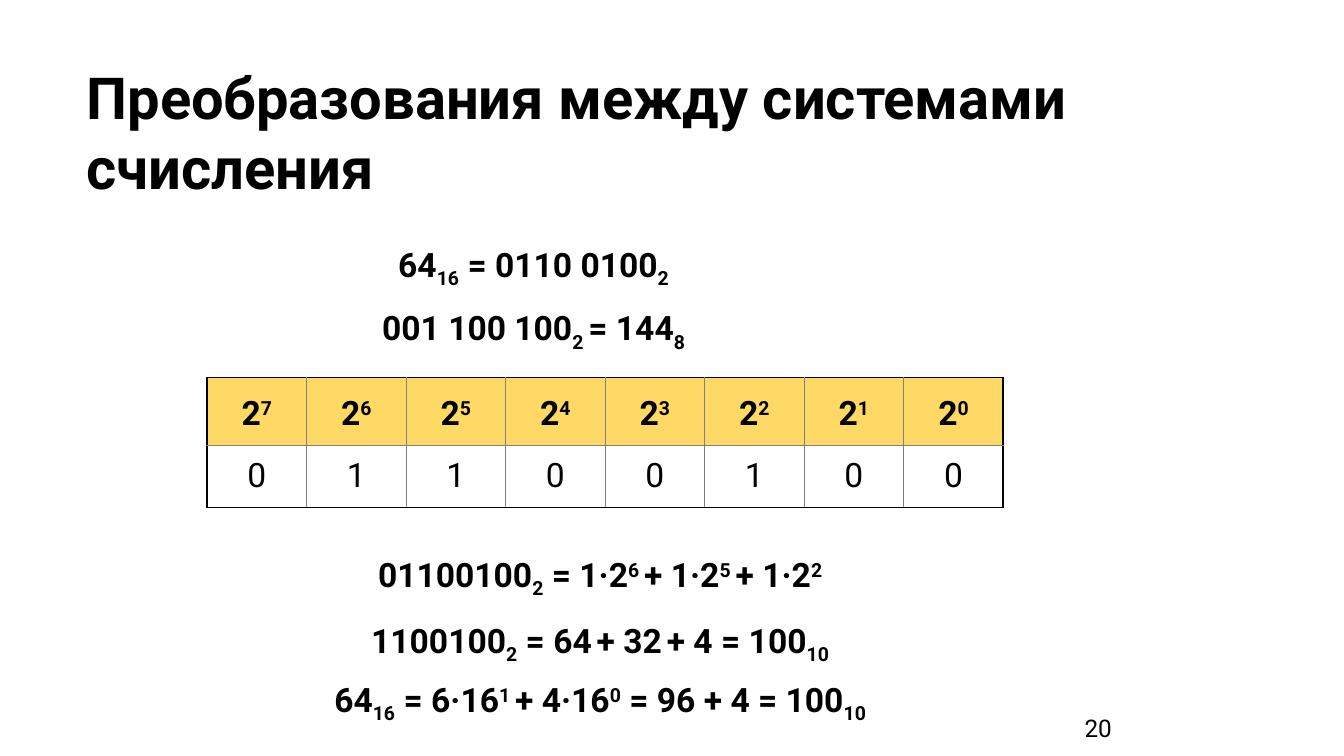
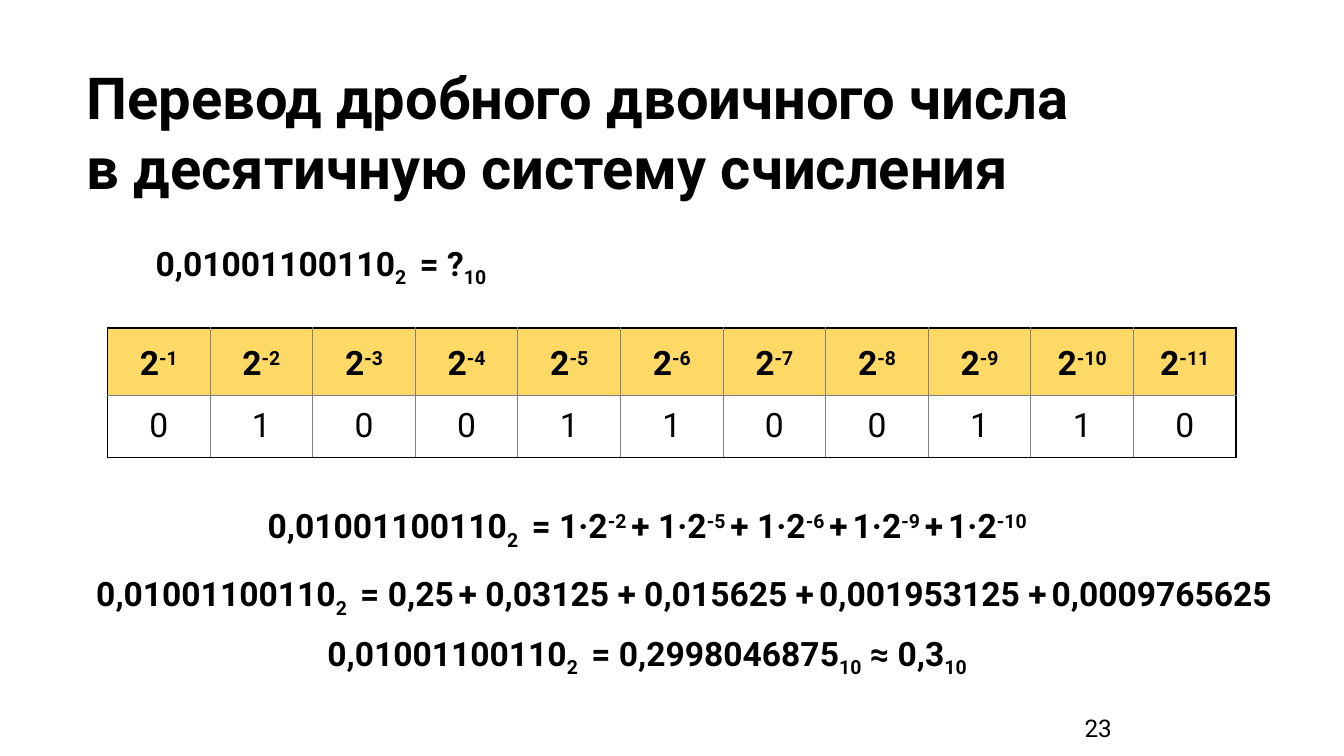
from dataclasses import dataclass
from pptx import Presentation
from pptx.dml.color import RGBColor as RGB
from pptx.enum.text import MSO_ANCHOR as ANCHOR, MSO_AUTO_SIZE as AUTO, PP_ALIGN as ALIGN
from pptx.oxml import parse_xml
from pptx.oxml.ns import nsdecls
from pptx.util import Pt

# Content: {_x} is lowered text, {^x} is raised text; boxes are in px
SLIDES = [
    {
        "title": "Преобразования между системами\vсчисления",
        "page": "20",
        "table": ((308, 562, 1185), range(7, -1, -1), "01100100"),
        "lines": [
            ((294, 343, 1000), "center", "64{_16} = 0110 0100{_2}"),
            ((294, 437, 1000), "center", "001 100 100{_2 }= 144{_8}"),
            ((294, 804, 1198), "center",
             "01100100{_2} = 1·2{^6 }+ 1·2{^5 }+ 1·2{^2}"),
            ((294, 902, 1198), "center",
             "1100100{_2} = 64{^ }+ 32{^ }+ 4 = 100{_10}"),
            ((294, 990, 1198), "center",
             "64{_16} = 6·16{^1 }+ 4·16{^0} = 96 + 4 = 100{_10}"),
        ],
    },
    {
        "title": "Перевод дробного двоичного числа \vв десятичную систему счисления",
        "page": "23",
        "table": ((160, 488, 1680), range(-1, -12, -1), "01001100110"),
        "lines": [
            ((212, 341, 1776), "left", "0,01001100110{_2 } = ?{_10}"),
            ((298, 732, 1330), "center",
             "0,01001100110{_2 } = 1·2{^-2 }+ 1·2{^-5 }+ 1·2{^-6 }+{^ }1·2{^-9 }+{^ }1·2{^-10}"),
            ((104, 833, 1828), "center",
             "0,01001100110{_2 } = 0,25{^ }+ 0,03125 + 0,015625 +{^ }0,001953125 +{^ }0,0009765625"),
            ((426, 922, 1074), "center",
             "0,01001100110{_2 } = 0,2998046875{_10} ≈ 0,3{_10}"),
        ],
    },
]


@dataclass(frozen=True)
class Theme:
    font: str = "Roboto"
    ink: str = "000000"
    rule: str = "808080"
    head: str = "FFD966"
    cell: str = "FFFFFF"
    title: int = 31
    text: int = 18
    page: int = 13


# Sizes: 200 px to the inch
THEME = Theme()
PX = 4572
SIZE = (2000, 1125)
TITLE = (109, 72, 1864, 240)
PAGE = (1474, 1048, 200, 70)
LINE = 86
ROWS = (100, 90)
INSET = 20
PAD = 16
SHIFT = {"_": "-25000", "^": "30000"}
SIDES = {"left": ALIGN.LEFT, "center": ALIGN.CENTER, "right": ALIGN.RIGHT}


def emu(box):
    return [n * PX for n in box]


def style(para, size, bold=False, side="left", space=None):
    para.alignment = SIDES[side]
    para.line_spacing = space
    font = para.font
    font.name, font.size, font.bold = THEME.font, Pt(size), bold
    font.color.rgb = RGB.from_string(THEME.ink)


def write(para, text):
    """Add runs, raising or lowering the marked parts."""
    for part in text.replace("}", "{").split("{"):
        if not part:
            continue
        shift = SHIFT.get(part[0])
        run = para.add_run()
        run.text = part[1:] if shift else part
        if shift:
            run.font._element.set("baseline", shift)


def add_title(slide, text):
    shape = slide.shapes.title
    shape.left, shape.top, shape.width, shape.height = emu(TITLE)
    frame = shape.text_frame
    frame.text = text
    frame.word_wrap, frame.auto_size = True, AUTO.NONE
    frame.vertical_anchor = ANCHOR.TOP
    frame.margin_left = frame.margin_right = INSET * PX
    frame.margin_top = frame.margin_bottom = INSET * PX
    style(frame.paragraphs[0], THEME.title, True, space=1.0)


def add_text(slide, box):
    frame = slide.shapes.add_textbox(*emu(box)).text_frame
    frame.word_wrap = True
    return frame


def add_page(slide, text):
    frame = add_text(slide, PAGE)
    frame.vertical_anchor = ANCHOR.MIDDLE
    para = frame.paragraphs[0]
    write(para, text)
    style(para, THEME.page, side="right")


def add_line(slide, box, side, text):
    frame = add_text(slide, (*box, LINE))
    frame.auto_size = AUTO.SHAPE_TO_FIT_TEXT
    para = frame.paragraphs[0]
    write(para, text)
    style(para, THEME.text, True, side, 1.15)
    para.space_before = Pt(3)


def add_edge(cell, side, outer):
    width, color = (Pt(1), THEME.ink) if outer else (Pt(0.5), THEME.rule)
    cell._tc.get_or_add_tcPr().append(parse_xml(
        f'<a:ln{side} {nsdecls("a")} w="{width}"><a:solidFill>'
        f'<a:srgbClr val="{color}"/></a:solidFill></a:ln{side}>'))


def add_table(slide, box, powers, bits):
    rows = ([f"2{{^{n}}}" for n in powers], list(bits))
    count = len(bits)
    table = slide.shapes.add_table(
        len(rows), count, *emu((*box, sum(ROWS)))).table
    table.horz_banding = False
    for col in table.columns:
        col.width = box[2] * PX // count
    for r, row in enumerate(rows):
        table.rows[r].height = ROWS[r] * PX
        head = r == 0
        for c, text in enumerate(row):
            cell = table.cell(r, c)
            cell.margin_left = cell.margin_right = PAD * PX
            cell.margin_top = cell.margin_bottom = PAD * PX
            # Black on the outside, grey between cells
            add_edge(cell, "L", c == 0)
            add_edge(cell, "R", c == count - 1)
            add_edge(cell, "T", head)
            add_edge(cell, "B", not head)
            cell.fill.solid()
            cell.fill.fore_color.rgb = RGB.from_string(
                THEME.head if head else THEME.cell)
            para = cell.text_frame.paragraphs[0]
            write(para, text)
            style(para, THEME.text, head, "center", 1.15 if head else None)


def main():
    deck = Presentation()
    deck.slide_width, deck.slide_height = emu(SIZE)
    for data in SLIDES:
        slide = deck.slides.add_slide(deck.slide_layouts[5])
        add_page(slide, data["page"])
        add_title(slide, data["title"])
        add_table(slide, *data["table"])
        for line in data["lines"]:
            add_line(slide, *line)
    deck.save("out.pptx")


if __name__ == "__main__":
    main()
